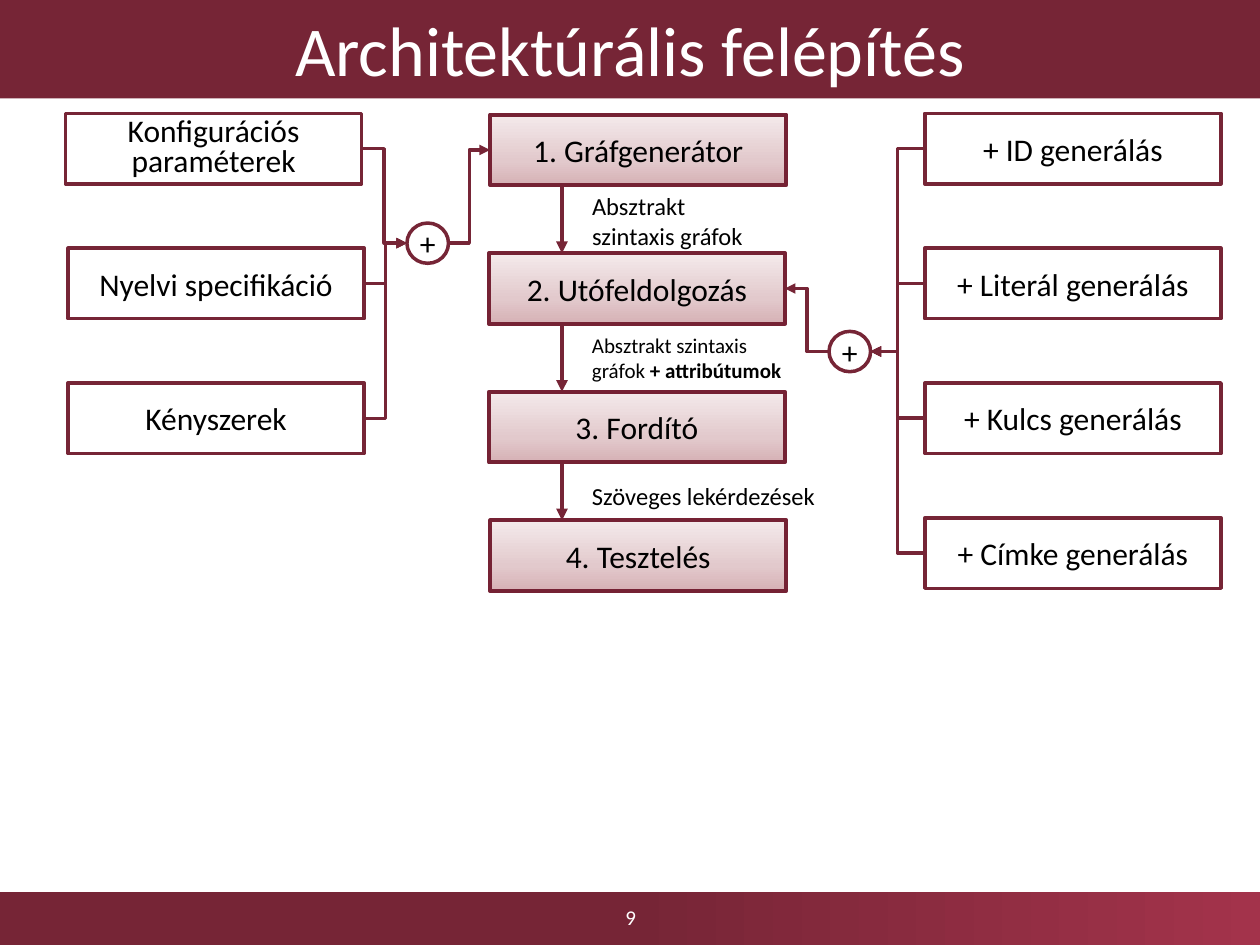
"""Build the architecture slide: inputs and generators feeding a four-stage pipeline."""
from copy import deepcopy
from dataclasses import dataclass
from itertools import pairwise

from lxml.etree import SubElement
from pptx import Presentation
from pptx.dml.color import RGBColor
from pptx.enum.shapes import MSO_CONNECTOR, MSO_SHAPE
from pptx.enum.text import MSO_ANCHOR, PP_ALIGN
from pptx.oxml.ns import qn
from pptx.util import Inches, Pt

COLUMNS, ROWS = 100, 75
CELL = Inches(0.1)
FONT = "Calibri"

WINE = RGBColor(0x76, 0x25, 0x36)
STAGE_EDGE = RGBColor(0x75, 0x22, 0x34)
CRIMSON = RGBColor(0xA3, 0x33, 0x4B)
ROSE = RGBColor(0xD6, 0xB1, 0xB5)
BLUSH = RGBColor(0xE2, 0xC9, 0xCC)
PETAL = RGBColor(0xF4, 0xEA, 0xEB)
WHITE = RGBColor(0xFF, 0xFF, 0xFF)
BLACK = RGBColor(0x00, 0x00, 0x00)
FOOTER_STOPS = ((0, WINE), (0.5, WINE), (1, CRIMSON))
STAGE_STOPS = ((0, ROSE), (0.35, BLUSH), (1, PETAL))


@dataclass(frozen=True)
class Area:
    left: float
    top: float
    width: float
    height: float

    @property
    def right(self) -> float:
        return self.left + self.width

    @property
    def bottom(self) -> float:
        return self.top + self.height

    @property
    def middle(self) -> float:
        return self.top + self.height / 2

    def lengths(self) -> list[int]:
        return [round(n * CELL) for n in (self.left, self.top, self.width, self.height)]


@dataclass(frozen=True)
class Node:
    text: str
    area: Area
    line_spacing: float = 1.0


@dataclass(frozen=True)
class Label:
    text: str
    area: Area
    size: int = 14
    bold_text: str = ""


def node(text: str, left: float, top: float, line_spacing: float = 1.0) -> Node:
    return Node(text, Area(left, top, 23.5, 5.6), line_spacing)


SIDE_TOPS = [9 + 10.7 * row for row in range(4)]
INPUTS = [
    node("Konfigurációs paraméterek", 5.2, SIDE_TOPS[0], 0.8),
    node("Nyelvi specifikáció", 5.4, SIDE_TOPS[1]),
    node("Kényszerek", 5.4, SIDE_TOPS[2]),
]
GENERATORS = [
    node(f"+ {kind} generálás", 73.4, top)
    for kind, top in zip(("ID", "Literál", "Kulcs", "Címke"), SIDE_TOPS)
]
STAGES = [
    node("1. Gráfgenerátor", 38.9, 9.1),
    node("2. Utófeldolgozás", 38.8, 20.1),
    node("3. Fordító", 38.8, 31.1),
    node("4. Tesztelés", 38.9, 41.3),
]
LABELS = [
    Label("Absztrakt szintaxis gráfok", Area(46, 14.7, 15.2, 5.7)),
    Label("Absztrakt szintaxis gráfok ", Area(46, 25.9, 17.3, 5), 12, "+ attribútumok"),
    Label("Szöveges lekérdezések", Area(46, 37.7, 20.7, 3.4)),
]
INPUT_SUM = Node("+", Area(32.3, 17.7, 3.3, 3.2))
GENERATOR_SUM = Node("+", Area(65.8, 26.3, 3.3, 3.2))
ARROW_COLUMN = 44.6


def add_box(page, area: Area, fill, edge=None, weight: float = 2, preset=MSO_SHAPE.RECTANGLE):
    box = page.shapes.add_shape(preset, *area.lengths())
    box.shadow.inherit = False
    box.fill.solid()
    box.fill.fore_color.rgb = fill
    if edge is None:
        box.line.fill.background()
    else:
        box.line.color.rgb = edge
        box.line.width = Pt(weight)
    return box


def shade(box, stops: tuple, angle: float) -> None:
    box.fill.gradient()
    box.fill.gradient_angle = angle
    stop_list = box._element.spPr.find(".//" + qn("a:gsLst"))
    while len(stop_list) < len(stops):
        stop_list.append(deepcopy(stop_list[0]))
    for stop, (position, color) in zip(box.fill.gradient_stops, stops):
        stop.position = position
        stop.color.rgb = color


def write(box, text: str, size: float, color=BLACK, align=PP_ALIGN.CENTER,
          anchor=MSO_ANCHOR.MIDDLE, bold_text: str = "") -> None:
    frame = box.text_frame
    frame.text = text
    frame.word_wrap = True
    frame.vertical_anchor = anchor
    para = frame.paragraphs[0]
    para.alignment = align
    if bold_text:
        span = para.add_run()
        span.text = bold_text
        span.font.bold = True
    for span in para.runs:
        span.font.name = FONT
        span.font.size = Pt(size)
        span.font.color.rgb = color


def add_arrow(page, start: tuple, end: tuple, weight: float = 2, kind=MSO_CONNECTOR.ELBOW) -> None:
    arrow = page.shapes.add_connector(kind, *[round(n * CELL) for n in start + end])
    arrow.line.color.rgb = WINE
    arrow.line.width = Pt(weight)
    outline = arrow._element.spPr.find(qn("a:ln"))
    SubElement(outline, qn("a:tailEnd"), type="triangle")
    SubElement(arrow._element.spPr, qn("a:effectLst"))


def add_node(page, item: Node, edge=WINE, weight: float = 2,
             preset=MSO_SHAPE.FLOWCHART_PROCESS):
    box = add_box(page, item.area, WHITE, edge, weight, preset)
    write(box, item.text, 18)
    frame = box.text_frame
    frame.margin_top = frame.margin_bottom = 0
    if item.line_spacing != 1:
        frame.paragraphs[0].line_spacing = item.line_spacing
    return box


def add_sum(page, item: Node) -> None:
    frame = add_node(page, item, preset=MSO_SHAPE.OVAL).text_frame
    frame.margin_left = frame.margin_right = 0


def add_label(page, label: Label) -> None:
    box = add_box(page, label.area, WHITE, WHITE, 0.75)
    write(box, label.text, label.size, BLACK, PP_ALIGN.LEFT, MSO_ANCHOR.TOP, label.bold_text)


def add_bands(page) -> None:
    shade(add_box(page, Area(0, 70.8, COLUMNS, 4.2), WINE), FOOTER_STOPS, 0)
    write(add_box(page, Area(0, -0.1, COLUMNS, 7.9), WINE), "Architektúrális felépítés", 40, WHITE)
    write(page.shapes.add_textbox(*Area(38.8, 70.8, 22.5, 4).lengths()), "9", 12, WHITE)


def add_flow(page) -> None:
    gather, extend = INPUT_SUM.area, GENERATOR_SUM.area
    first, second = STAGES[0].area, STAGES[1].area
    for item in INPUTS:
        add_arrow(page, (item.area.right, item.area.middle), (gather.left, gather.middle))
    for item in GENERATORS:
        add_arrow(page, (item.area.left, item.area.middle), (extend.right, extend.middle))
    add_arrow(page, (gather.right, gather.middle), (first.left, first.middle))
    add_arrow(page, (extend.left, extend.middle), (second.right, second.middle))
    for upper, lower in pairwise(STAGES):
        add_arrow(page, (ARROW_COLUMN, upper.area.bottom), (ARROW_COLUMN, lower.area.top),
                  2.25, MSO_CONNECTOR.STRAIGHT)


deck = Presentation()
deck.slide_width, deck.slide_height = COLUMNS * CELL, ROWS * CELL
page = deck.slides.add_slide(deck.slide_layouts[6])
add_bands(page)
add_flow(page)
for label in LABELS:
    add_label(page, label)
for item in INPUTS + GENERATORS:
    add_node(page, item)
for item in STAGES:
    shade(add_node(page, item, STAGE_EDGE, 2.25), STAGE_STOPS, 90)
for item in (INPUT_SUM, GENERATOR_SUM):
    add_sum(page, item)
deck.save("out.pptx")
